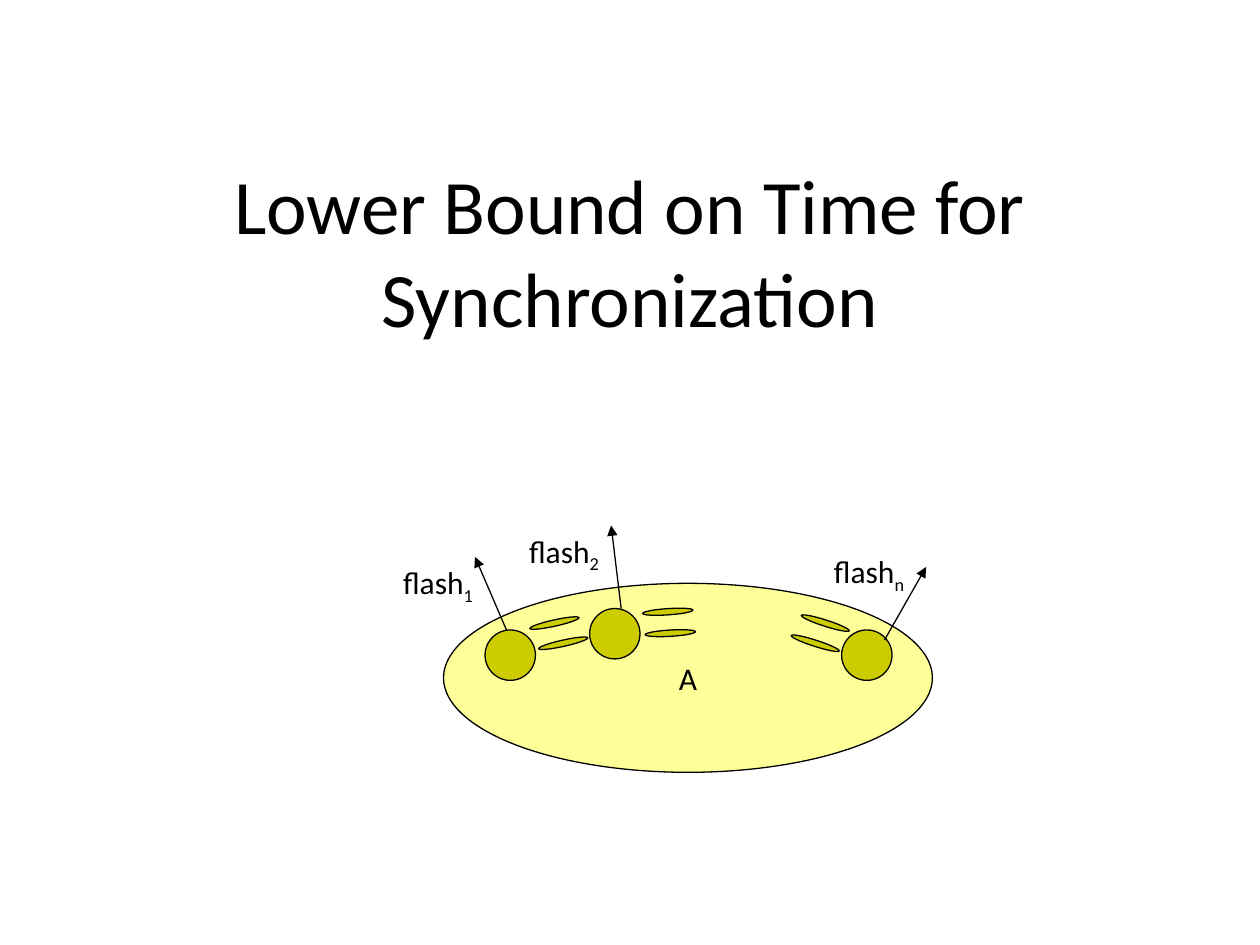
from lxml import etree
from pptx import Presentation
from pptx.dml.color import RGBColor
from pptx.enum.shapes import MSO_CONNECTOR, MSO_SHAPE
from pptx.enum.text import MSO_ANCHOR, MSO_AUTO_SIZE, PP_ALIGN
from pptx.oxml.ns import qn
from pptx.util import Inches, Pt

ELLIPSE = MSO_SHAPE.OVAL
STRAIGHT = MSO_CONNECTOR.STRAIGHT
MIDDLE = MSO_ANCHOR.MIDDLE
GROW = MSO_AUTO_SIZE.SHAPE_TO_FIT_TEXT
CENTER, LEFT = PP_ALIGN.CENTER, PP_ALIGN.LEFT

FONT = "Calibri"
BLACK, SWARM, FIREFLY = "000000", "FFFF99", "CCCC00"
BODY, WING = (0.4, 0.4), (0.4, 0.05)

BODIES = [(3.85, 5), (4.68, 4.83), (6.68, 5)]
WINGS = [
    (4.2, 4.92, 167.5), (4.27, 5.08, 167.5),
    (5.1, 4.83, 176.1), (5.12, 5, 176.6),
    (6.35, 4.92, 197.8), (6.27, 5.08, 197.8),
]
FLASHES = [
    ("1", (3.1, 4.42), (4.02, 5), (3.77, 4.42)),
    ("2", (4.1, 4.17), (4.93, 4.83), (4.85, 4.17)),
    ("n", (6.52, 4.33), (7.02, 5.08), (7.35, 4.5)),
]


def rgb(color):
    return RGBColor.from_string(color)


def set_attrs(obj, **values):
    for name, value in values.items():
        setattr(obj, name, value)


def style_line(line):
    line.color.rgb = rgb(BLACK)
    line.width = Pt(0.75)


def add_run(p, text, size, baseline=None):
    r = p.add_run()
    r.text = text
    set_attrs(r.font, name=FONT, size=Pt(size))
    r.font.color.rgb = rgb(BLACK)
    if baseline:
        r.font._element.set("baseline", str(baseline * 1000))


def add_title(slide, text):
    sp = slide.shapes.title
    set_attrs(sp, left=Inches(0.5), top=Inches(0.3),
              width=Inches(9), height=Inches(3.37))
    set_attrs(sp.text_frame, vertical_anchor=MIDDLE, word_wrap=True)
    p = sp.text_frame.paragraphs[0]
    p.alignment = CENTER
    add_run(p, text, 44)


def add_ellipse(shapes, x, y, size, color, rotation=0):
    sp = shapes.add_shape(ELLIPSE, *map(Inches, (x, y, *size)))
    sp.shadow.inherit = False
    sp.rotation = rotation
    sp.fill.solid()
    sp.fill.fore_color.rgb = rgb(color)
    style_line(sp.line)
    return sp


def add_label(shapes, x, y, text, subscript):
    tf = shapes.add_textbox(*map(Inches, (x, y, 0.82, 0.4))).text_frame
    set_attrs(tf, word_wrap=False, auto_size=GROW)
    p = tf.paragraphs[0]
    p.alignment = LEFT
    add_run(p, text, 18)
    add_run(p, subscript, 18, baseline=-25)


def add_arrow(shapes, start, end):
    cxn = shapes.add_connector(STRAIGHT, *map(Inches, (*start, *end)))
    style_line(cxn.line)
    etree.SubElement(cxn.line._get_or_add_ln(), qn("a:tailEnd"), type="triangle")
    etree.SubElement(cxn._element.spPr, qn("a:effectLst"))


def add_swarm(slide):
    shapes = slide.shapes.add_group_shape().shapes
    swarm = add_ellipse(shapes, 3.52, 4.63, (3.88, 1.5), SWARM)
    tf = swarm.text_frame
    set_attrs(tf, vertical_anchor=MIDDLE, word_wrap=False)
    p = tf.paragraphs[0]
    p.alignment = CENTER
    add_run(p, "A", 18)
    for x, y in BODIES:
        add_ellipse(shapes, x, y, BODY, FIREFLY)
    for x, y, rotation in WINGS:
        add_ellipse(shapes, x, y, WING, FIREFLY, rotation)
    for subscript, corner, start, end in FLASHES:
        add_label(shapes, *corner, "flash", subscript)
        add_arrow(shapes, start, end)


def main():
    prs = Presentation()
    set_attrs(prs, slide_width=Inches(10), slide_height=Inches(7.5))
    slide = prs.slides.add_slide(prs.slide_layouts[5])
    add_title(slide, "Lower Bound on Time for Synchronization")
    add_swarm(slide)
    prs.save("out.pptx")


if __name__ == "__main__":
    main()
